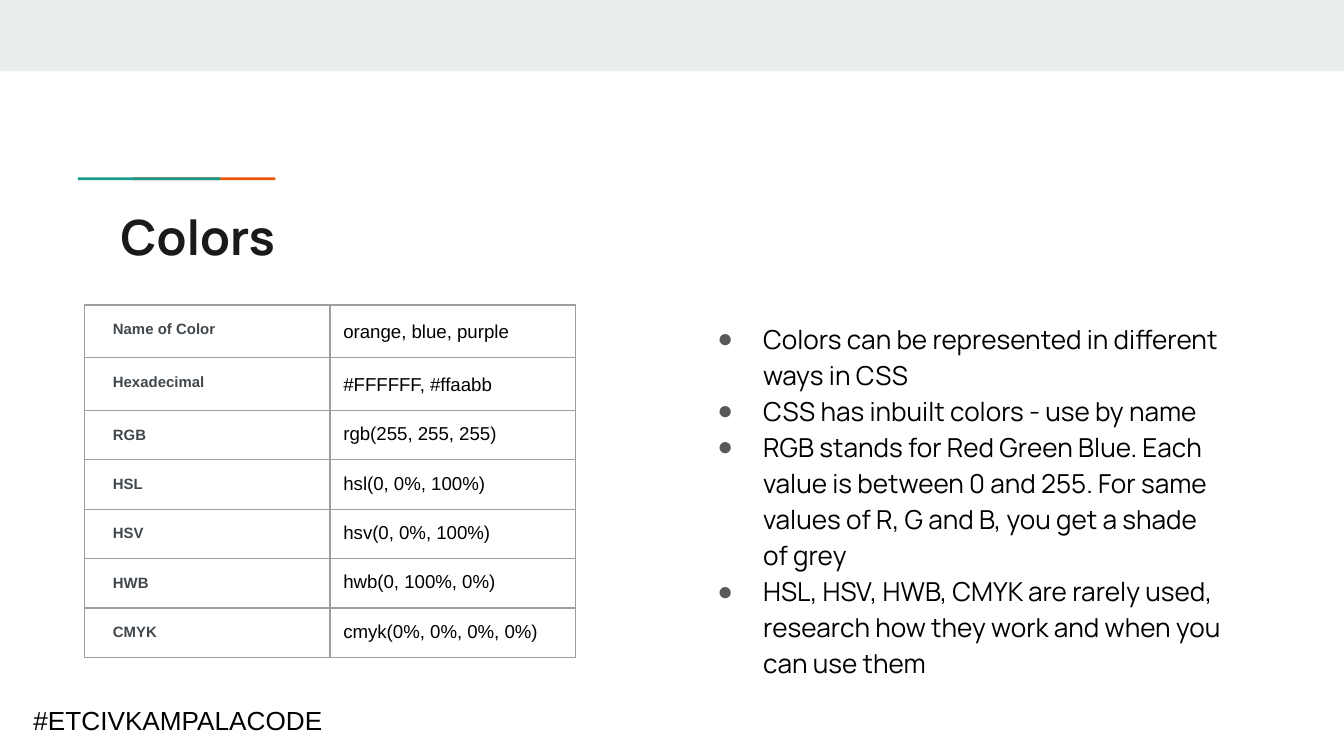
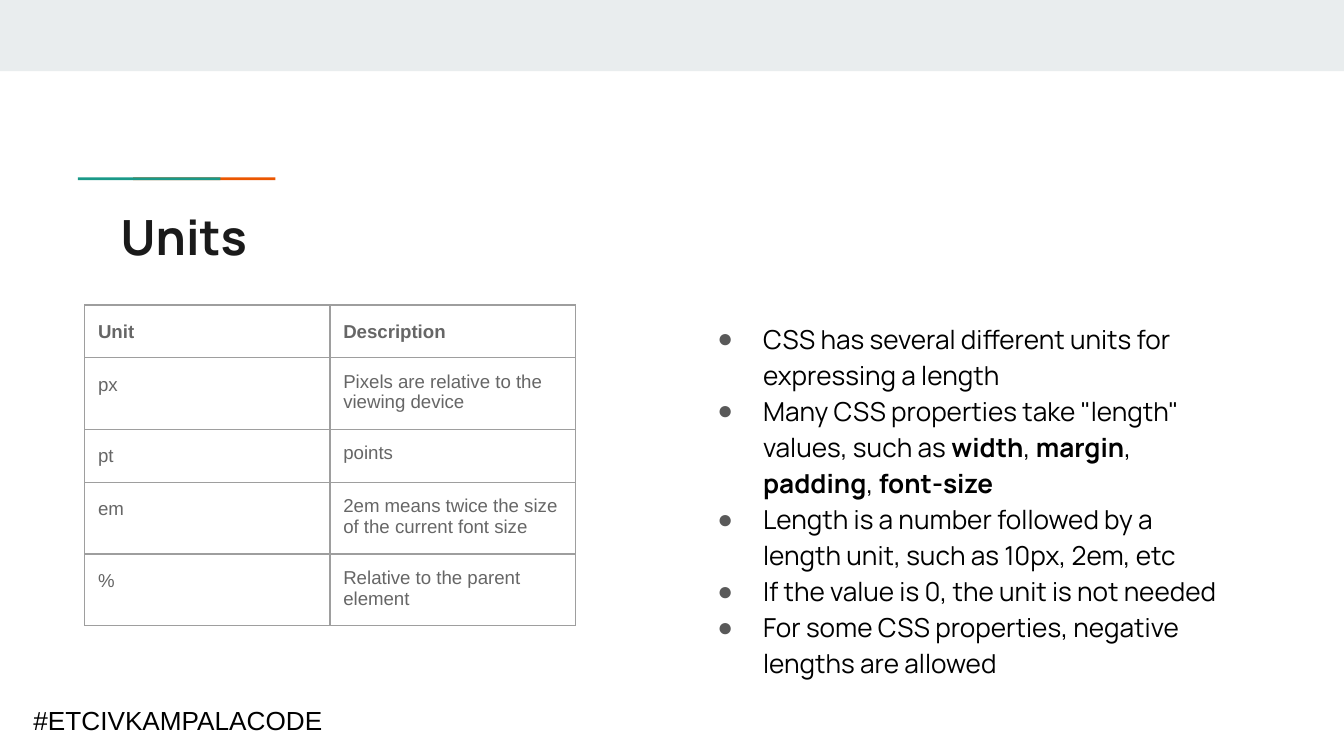
import pptx
import pptx.dml.color
import pptx.enum.shapes
import pptx.enum.text
import pptx.oxml.ns
import pptx.util
from lxml import etree

Inches = pptx.util.Inches
Pt = pptx.util.Pt

BAND, TEAL, ORANGE = "E9EDEE", "1A9988", "EB5600"
INK, BLACK, LABEL, GREY = "1A1A1A", "000000", "41484D", "666666"
BULLET, GRID = "595959", "9E9E9E"
HEADING_FONT, PLAIN_FONT = "Manrope", "Arial"

TITLE_BOX = (0.8, 1.44, 8.41, 0.59)
GRID_BOX = (0.63, 2.27, 3.65)
NOTES_BOX = (5.08, 2.27, 4.13, 2.94)
FOOTER_BOX = (0.15, 5.19, 2.62, 0.34)
ACCENT_BOX = (0.58, 1.32, 1.47, 0.02)


def rgb(value):
    return pptx.dml.color.RGBColor.from_string(value)


def add_xml(parent, tag, **attributes):
    return etree.SubElement(parent, pptx.oxml.ns.qn(tag), **attributes)


def add_run(paragraph, text, size, color, font=PLAIN_FONT, bold=False):
    run = paragraph.add_run()
    run.text = text
    run.font.size = Pt(size)
    run.font.name = font
    run.font.bold = bold
    run.font.color.rgb = rgb(color)


def add_bar(slide, box, color):
    bar = slide.shapes.add_shape(
        pptx.enum.shapes.MSO_SHAPE.RECTANGLE, *map(Inches, box))
    bar.shadow.inherit = False
    bar.fill.solid()
    bar.fill.fore_color.rgb = rgb(color)
    bar.line.fill.background()


def add_frame(slide, box, inset=0.1):
    frame = slide.shapes.add_textbox(*map(Inches, box)).text_frame
    frame.word_wrap = True
    frame.margin_left = frame.margin_right = Inches(0.1)
    frame.margin_top = frame.margin_bottom = Inches(inset)
    return frame


def add_accent(slide, box):
    """Two overlapping strokes, the teal one in front."""
    left, top, width, height = box
    stroke = 1.06
    add_bar(slide, (left + width - stroke, top, stroke, height), ORANGE)
    add_bar(slide, (left, top, stroke, height), TEAL)


def add_footer(slide, box):
    frame = add_frame(slide, box, inset=0.05)
    frame.auto_size = pptx.enum.text.MSO_AUTO_SIZE.SHAPE_TO_FIT_TEXT
    add_run(frame.paragraphs[0], "#ETCIVKAMPALACODE", 14, BLACK)


def add_notes(slide, box, notes):
    """Bulleted list; text between ** marks is bold."""
    frame = add_frame(slide, box)
    for index, note in enumerate(notes):
        paragraph = frame.add_paragraph() if index else frame.paragraphs[0]
        paragraph.line_spacing = 1.15
        props = paragraph._p.get_or_add_pPr()
        props.set("marL", str(Inches(0.5)))
        props.set("indent", str(Inches(-0.34)))
        add_xml(add_xml(props, "a:buClr"), "a:srgbClr", val=BULLET)
        add_xml(props, "a:buFont", typeface=PLAIN_FONT)
        add_xml(props, "a:buChar", char="●")
        for part, text in enumerate(note.split("**")):
            if text:
                add_run(paragraph, text, 14, BLACK, HEADING_FONT, part % 2 == 1)


def style_cell(cell):
    cell.margin_left = cell.margin_right = Inches(0.1)
    cell.margin_top = cell.margin_bottom = Inches(0.1)
    props = cell._tc.get_or_add_tcPr()
    for side in ("a:lnL", "a:lnR", "a:lnT", "a:lnB"):
        border = add_xml(props, side, w=str(Pt(0.75)))
        add_xml(add_xml(border, "a:solidFill"), "a:srgbClr", val=GRID)
    cell.fill.background()


def add_grid(slide, box, rows, look):
    """Two-column table; look(row, column) gives size, colour, bold, indent, spacing."""
    left, top, width = map(Inches, box)
    # Rows start low and grow to fit their text
    height = Inches(0.24) * len(rows)
    table = slide.shapes.add_table(len(rows), 2, left, top, width, height).table
    table.first_row = table.horz_banding = False
    for r, texts in enumerate(rows):
        for c, text in enumerate(texts):
            cell = table.cell(r, c)
            style_cell(cell)
            size, color, bold, indent, spacing = look(r, c)
            paragraph = cell.text_frame.paragraphs[0]
            if spacing:
                paragraph.line_spacing = spacing
            if indent:
                paragraph._p.get_or_add_pPr().set("marL", str(Inches(indent)))
            add_run(paragraph, text, size, color, bold=bold)


def color_look(row, column):
    if column == 0:
        return 8, LABEL, True, 0.11, 1.15
    return 10, BLACK, False, 0, 1.15 if row < 2 else None


def unit_look(row, column):
    return 10, GREY, row == 0, 0, 1.15 if row == 0 or column == 0 else None


def add_topic(deck, title, rows, look, notes):
    slide = deck.slides.add_slide(deck.slide_layouts[6])
    # Shared band, accent and footer
    add_bar(slide, (0, 0, 10, 0.53), BAND)
    add_accent(slide, ACCENT_BOX)
    add_footer(slide, FOOTER_BOX)
    # Topic content
    heading = add_frame(slide, TITLE_BOX).paragraphs[0]
    add_run(heading, title, 26, INK, HEADING_FONT, True)
    add_grid(slide, GRID_BOX, rows, look)
    add_notes(slide, NOTES_BOX, notes)


COLOR_ROWS = [
    ("Name of Color", "orange, blue, purple"),
    ("Hexadecimal", "#FFFFFF, #ffaabb"),
    ("RGB", "rgb(255, 255, 255)"),
    ("HSL", "hsl(0, 0%, 100%)"),
    ("HSV", "hsv(0, 0%, 100%)"),
    ("HWB", "hwb(0, 100%, 0%)"),
    ("CMYK", "cmyk(0%, 0%, 0%, 0%)"),
]
COLOR_NOTES = [
    "Colors can be represented in different ways in CSS",
    "CSS has inbuilt colors - use by name",
    "RGB stands for Red Green Blue. Each value is between 0 and 255. "
    "For same values of R, G and B, you get a shade of grey",
    "HSL, HSV, HWB, CMYK are rarely used, research how they work "
    "and when you can use them",
]
UNIT_ROWS = [
    ("Unit", "Description"),
    ("px", "Pixels are relative to the viewing device"),
    ("pt", "points"),
    ("em", "2em means twice the size of the current font size"),
    ("%", "Relative to the parent element"),
]
UNIT_NOTES = [
    "CSS has several different units for expressing a length",
    'Many CSS properties take "length" values, such as '
    "**width**, **margin**, **padding**, **font-size**",
    "Length is a number followed by a length unit, such as 10px, 2em, etc",
    "If the value is 0, the unit is not needed",
    "For some CSS properties, negative lengths are allowed",
]


def main():
    deck = pptx.Presentation()
    # Widescreen, 16 to 9
    deck.slide_width = Inches(10)
    deck.slide_height = Inches(10 * 9 / 16)
    add_topic(deck, "Colors", COLOR_ROWS, color_look, COLOR_NOTES)
    add_topic(deck, "Units", UNIT_ROWS, unit_look, UNIT_NOTES)
    deck.save("out.pptx")


if __name__ == "__main__":
    main()
